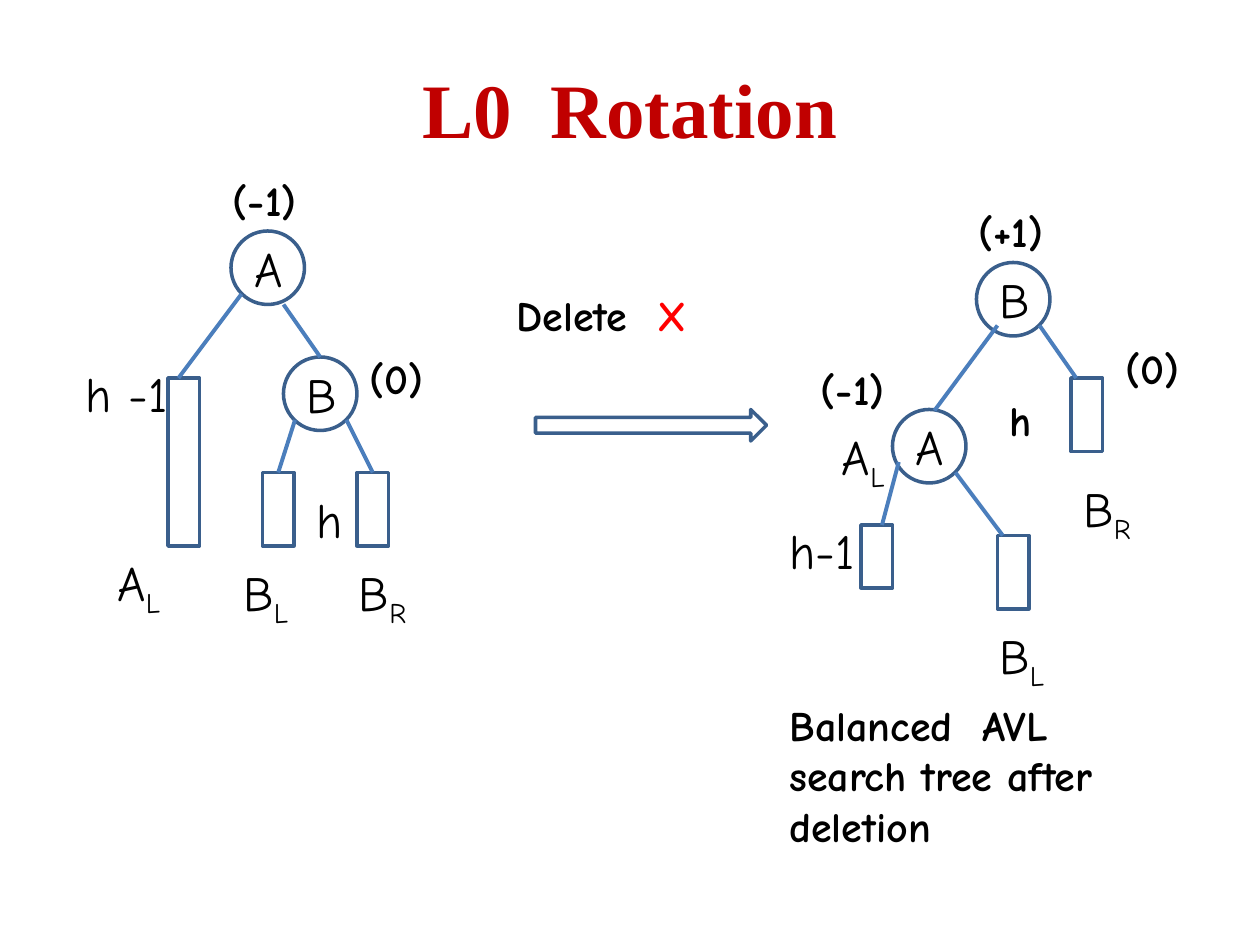
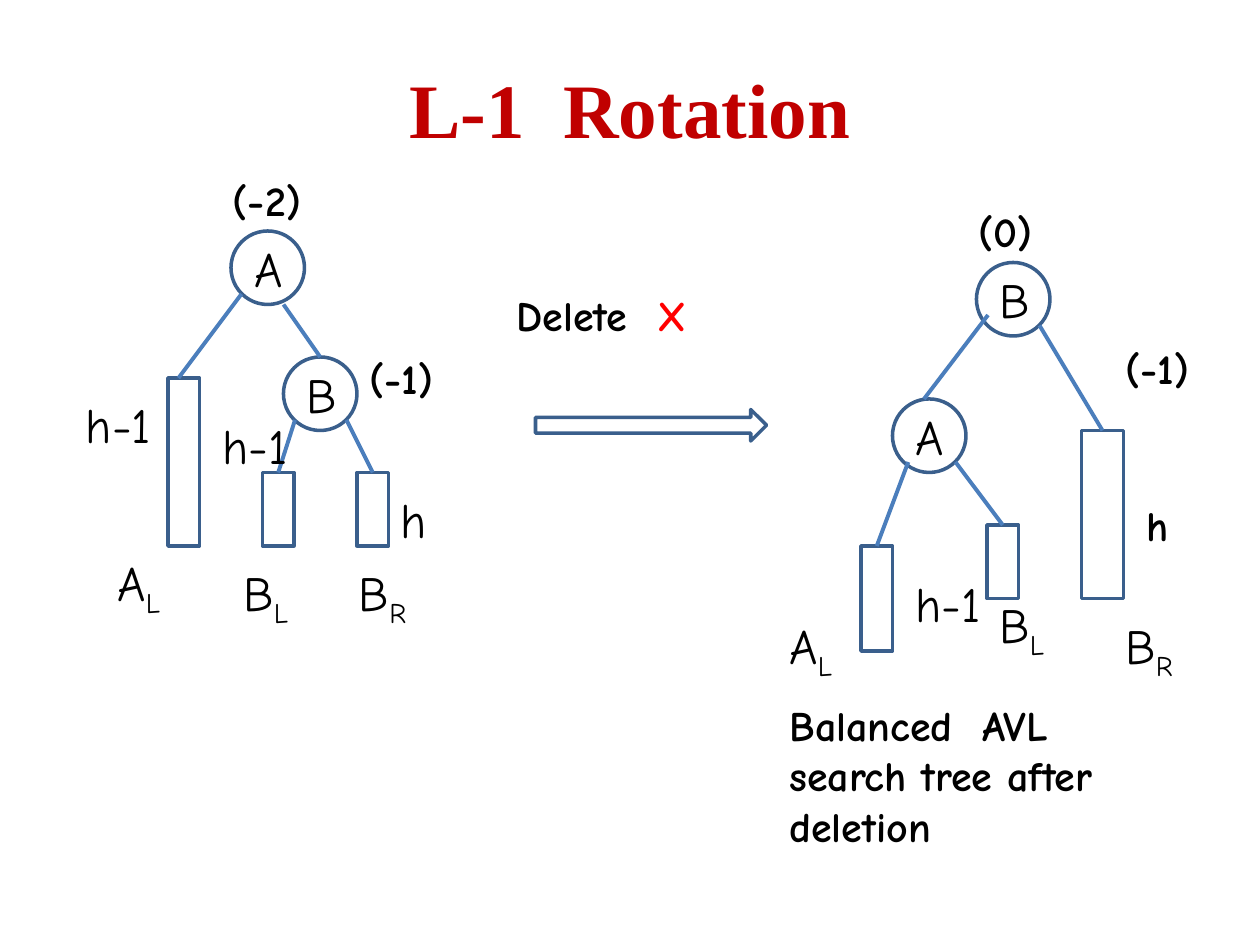
from dataclasses import dataclass

from lxml.etree import SubElement
from pptx import Presentation
from pptx.dml.color import RGBColor
from pptx.enum.shapes import MSO_CONNECTOR as Connector, MSO_SHAPE as Shape
from pptx.enum.text import MSO_ANCHOR as Anchor, MSO_AUTO_SIZE as AutoSize, PP_ALIGN as Align
from pptx.oxml.ns import qn
from pptx.util import Emu, Pt

PX = 7620
PAGE_WIDTH, PAGE_HEIGHT = 1200, 900
TITLE_BOX = (60, 36, 1080, 134)
BEFORE_ORIGIN, DELETE_ORIGIN, AFTER_ORIGIN = (70, 160), (480, 270), (740, 190)
NODE_SIZE, SUBTREE_WIDTH = 70, 30
NODE_POINTS, BALANCE_POINTS, TITLE_POINTS = 28, 24, 44
TREE_FONT, TITLE_FONT = "Comic Neue", "Times New Roman"
TITLE_RED = RGBColor(0xC0, 0x00, 0x00)
DELETED_RED = RGBColor(0xFF, 0x00, 0x00)
BLACK = RGBColor(0x00, 0x00, 0x00)
OUTLINE_BLUE = RGBColor(0x3A, 0x5F, 0x8C)
EDGE_BLUE = RGBColor(0x4B, 0x7E, 0xBC)


@dataclass
class Rotation:
    """The parts in which one rotation slide differs from another."""
    title: str
    before_balances: tuple
    before_heights: list
    after_nodes: dict
    after_subtrees: dict
    after_edges: list
    after_names: list
    after_heights: list
    after_balances: list


ROTATIONS = [
    Rotation(
        title="L0  Rotation",
        before_balances=("(-1)", "(0)"),
        before_heights=[("h -1", 0, 180, 110), ("h", 220, 300, 40)],
        after_nodes={"B": (190, 60), "A": (110, 200)},
        after_subtrees={"BR": (280, 170, 30, 70), "BL": (210, 320, 30, 70),
                        "AL": (80, 310, 30, 60)},
        after_edges=[((116, 250), (100, 310)), ((170, 260), (215, 320)),
                     ((210, 120), (150, 201)), ((250, 120), (285, 170))],
        after_names=[("BL", 200, 400), ("BR", 280, 260), ("AL", 50, 210)],
        after_heights=[("h-1", 0, 300, 100)],
        after_balances=[("(0)", 320, 130, 110), ("(+1)", 180, 0, 150),
                        ("h", 210, 180, 60), ("(-1)", 30, 150, 140)],
    ),
    Rotation(
        title="L-1  Rotation",
        before_balances=("(-2)", "(-1)"),
        before_heights=[("h-1", 0, 210, 120), ("h", 300, 300, 40), ("h-1", 130, 230, 120)],
        after_nodes={"B": (190, 60), "A": (110, 190)},
        after_subtrees={"BR": (290, 220, 40, 160), "BL": (200, 310, 30, 70),
                        "AL": (80, 330, 30, 100)},
        after_edges=[((125, 250), "AL"), ((170, 250), "BL"),
                     ((201, 110), (140, 190)), ((250, 120), "BR")],
        after_names=[("BL", 200, 370), ("BR", 320, 390), ("AL", 0, 390)],
        after_heights=[("h-1", 120, 350, 100)],
        after_balances=[("(-1)", 320, 130, 110), ("(0)", 180, 0, 150),
                        ("h", 340, 280, 60)],
    ),
]


def place(origin, x, y):
    """Turn an offset in px from an origin into a slide position."""
    return Emu((origin[0] + x) * PX), Emu((origin[1] + y) * PX)


def style_span(span, points, bold=False, color=BLACK, font=TREE_FONT):
    """Give a run its font, size, weight and colour."""
    span.font.name = font
    span.font.size = Pt(points)
    span.font.bold = bold
    span.font.color.rgb = color


def add_outline(shapes, kind, origin, x, y, width, height):
    """Draw an unfilled shape with a blue outline."""
    outline = shapes.add_shape(kind, *place(origin, x, y), Emu(width * PX), Emu(height * PX))
    outline.shadow.inherit = False
    outline.fill.background()
    outline.line.color.rgb = OUTLINE_BLUE
    outline.line.width = Pt(2)
    return outline


def add_node(shapes, origin, name, x, y):
    """Draw a round tree node with its name."""
    node = add_outline(shapes, Shape.OVAL, origin, x, y, NODE_SIZE, NODE_SIZE)
    frame = node.text_frame
    frame.text = name
    frame.vertical_anchor = Anchor.MIDDLE
    para = frame.paragraphs[0]
    para.alignment = Align.CENTER
    style_span(para.runs[0], NODE_POINTS)
    return node


def add_edge(shapes, origin, start, end):
    """Draw an edge to an offset, or to the top middle of a shape."""
    joined = not isinstance(end, tuple)
    finish = (end.left + end.width // 2, end.top) if joined else place(origin, *end)
    edge = shapes.add_connector(Connector.STRAIGHT, *place(origin, *start), *finish)
    if joined:
        edge.end_connect(end, 0)
    edge.line.color.rgb = EDGE_BLUE
    edge.line.width = Pt(2.25)
    SubElement(edge._element.spPr, qn("a:effectLst"))


def add_label(shapes, origin, text, x, y, width, height=68,
              points=NODE_POINTS, bold=False, tail=""):
    """Write a label, with an optional second run, and return its runs."""
    box = shapes.add_textbox(*place(origin, x, y), Emu(width * PX), Emu(height * PX))
    frame = box.text_frame
    frame.word_wrap = True
    frame.auto_size = AutoSize.SHAPE_TO_FIT_TEXT
    frame.text = text
    para = frame.paragraphs[0]
    if tail:
        para.add_run().text = tail
    for span in para.runs:
        style_span(span, points, bold)
    return para.runs


def add_subtree_name(shapes, origin, name, x, y):
    """Write a subtree name whose second letter is a subscript."""
    spans = add_label(shapes, origin, name[0], x, y, 100, tail=name[1])
    spans[1]._r.get_or_add_rPr().set("baseline", "-25000")


def add_bold_label(shapes, origin, text, x, y, width, height=60, tail=""):
    """Write a bold label in the smaller size."""
    return add_label(shapes, origin, text, x, y, width, height, BALANCE_POINTS, True, tail)


def add_title(page, text):
    """Fill and format the title placeholder."""
    title = page.shapes.title
    title.left, title.top, title.width, title.height = (Emu(side * PX) for side in TITLE_BOX)
    title.text_frame.text = text
    title.text_frame.vertical_anchor = Anchor.MIDDLE
    para = title.text_frame.paragraphs[0]
    para.alignment = Align.CENTER
    style_span(para.runs[0], TITLE_POINTS, True, TITLE_RED, TITLE_FONT)


def add_tree_before(shapes, origin, rotation):
    """Draw the tree as it is before the deletion."""
    add_node(shapes, origin, "A", 150, 60)
    node_b = add_node(shapes, origin, "B", 200, 180)
    add_outline(shapes, Shape.RECTANGLE, origin, 90, 200, SUBTREE_WIDTH, 160)
    subtree_bl, subtree_br = (
        add_outline(shapes, Shape.RECTANGLE, origin, x, 290, SUBTREE_WIDTH, 70)
        for x in (180, 270))
    for start, end in [((211, 240), subtree_bl), ((260, 240), subtree_br),
                       ((160, 120), (100, 200)), ((200, 130), node_b)]:
        add_edge(shapes, origin, start, end)
    for name, x, y in [("AL", 30, 360), ("BL", 150, 370), ("BR", 260, 370)]:
        add_subtree_name(shapes, origin, name, x, y)
    for height_label in rotation.before_heights:
        add_label(shapes, origin, *height_label)
    balance_a, balance_b = rotation.before_balances
    add_bold_label(shapes, origin, balance_a, 140, 0, 150)
    add_bold_label(shapes, origin, balance_b, 270, 170, 130)


def add_delete_step(shapes, origin):
    """Draw the arrow between the trees and the deletion above it."""
    add_outline(shapes, Shape.RIGHT_ARROW, origin, 30, 120, 220, 30)
    spans = add_bold_label(shapes, origin, "Delete  ", 0, 0, 260, tail="X")
    spans[1].font.color.rgb = DELETED_RED


def add_tree_after(shapes, origin, rotation):
    """Draw the balanced tree and its caption."""
    for name, corner in rotation.after_nodes.items():
        add_node(shapes, origin, name, *corner)
    subtrees = {name: add_outline(shapes, Shape.RECTANGLE, origin, *area)
                for name, area in rotation.after_subtrees.items()}
    for start, end in rotation.after_edges:
        add_edge(shapes, origin, start, subtrees.get(end, end))
    for subtree_name in rotation.after_names:
        add_subtree_name(shapes, origin, *subtree_name)
    for height_label in rotation.after_heights:
        add_label(shapes, origin, *height_label)
    for balance in rotation.after_balances:
        add_bold_label(shapes, origin, *balance)
    add_bold_label(shapes, origin, "Balanced  AVL search tree after deletion", 0, 470, 380, 157)


def add_rotation_page(deck, rotation):
    """Build one slide that shows a rotation."""
    page = deck.slides.add_slide(deck.slide_layouts[5])
    add_title(page, rotation.title)
    add_tree_before(page.shapes, BEFORE_ORIGIN, rotation)
    add_delete_step(page.shapes, DELETE_ORIGIN)
    add_tree_after(page.shapes.add_group_shape().shapes, AFTER_ORIGIN, rotation)


def main():
    """Build and save the deck."""
    deck = Presentation()
    deck.slide_width, deck.slide_height = Emu(PAGE_WIDTH * PX), Emu(PAGE_HEIGHT * PX)
    for rotation in ROTATIONS:
        add_rotation_page(deck, rotation)
    deck.save("out.pptx")


if __name__ == "__main__":
    main()
